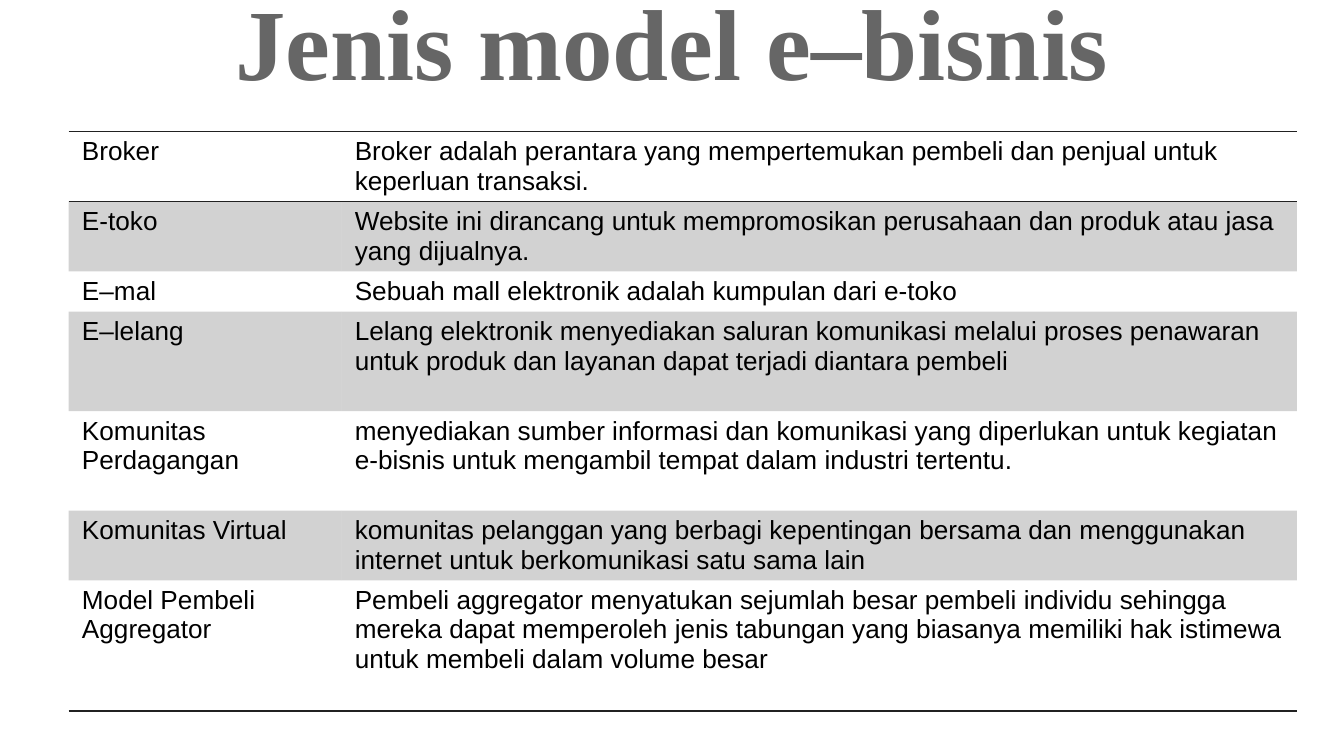
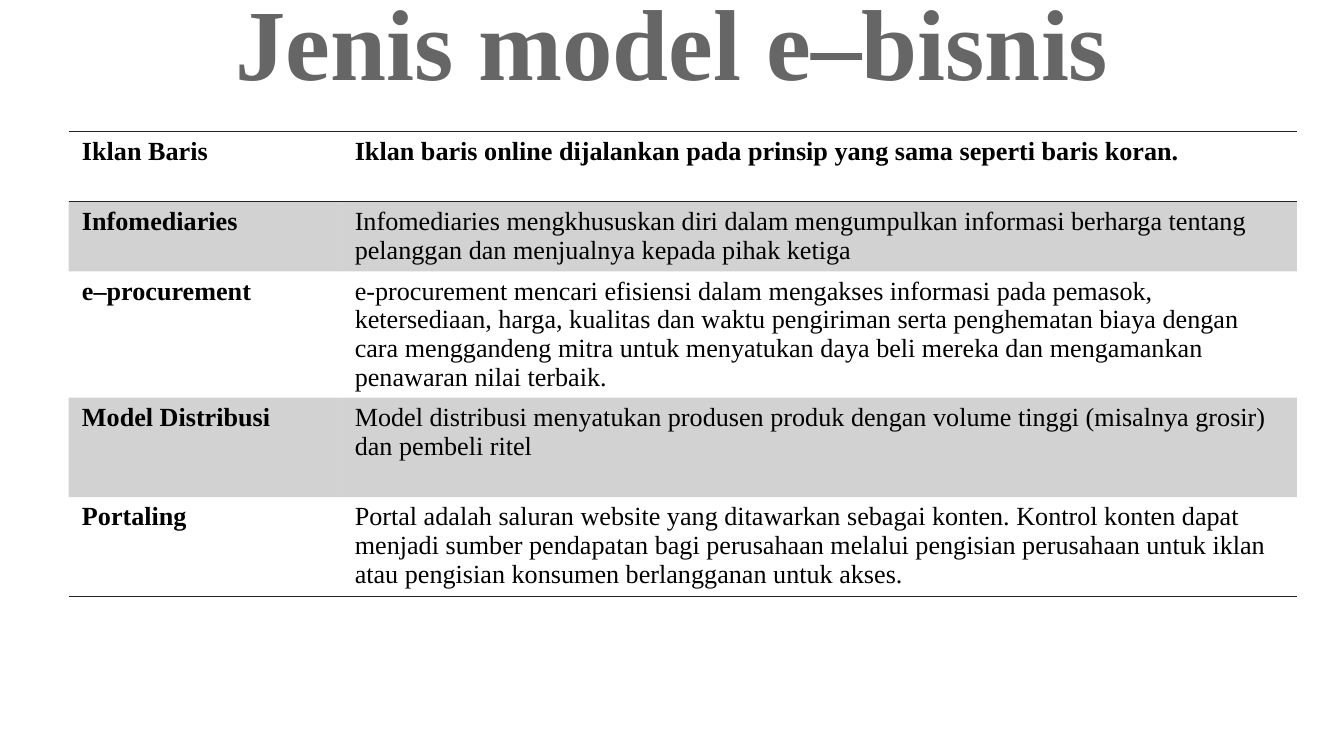
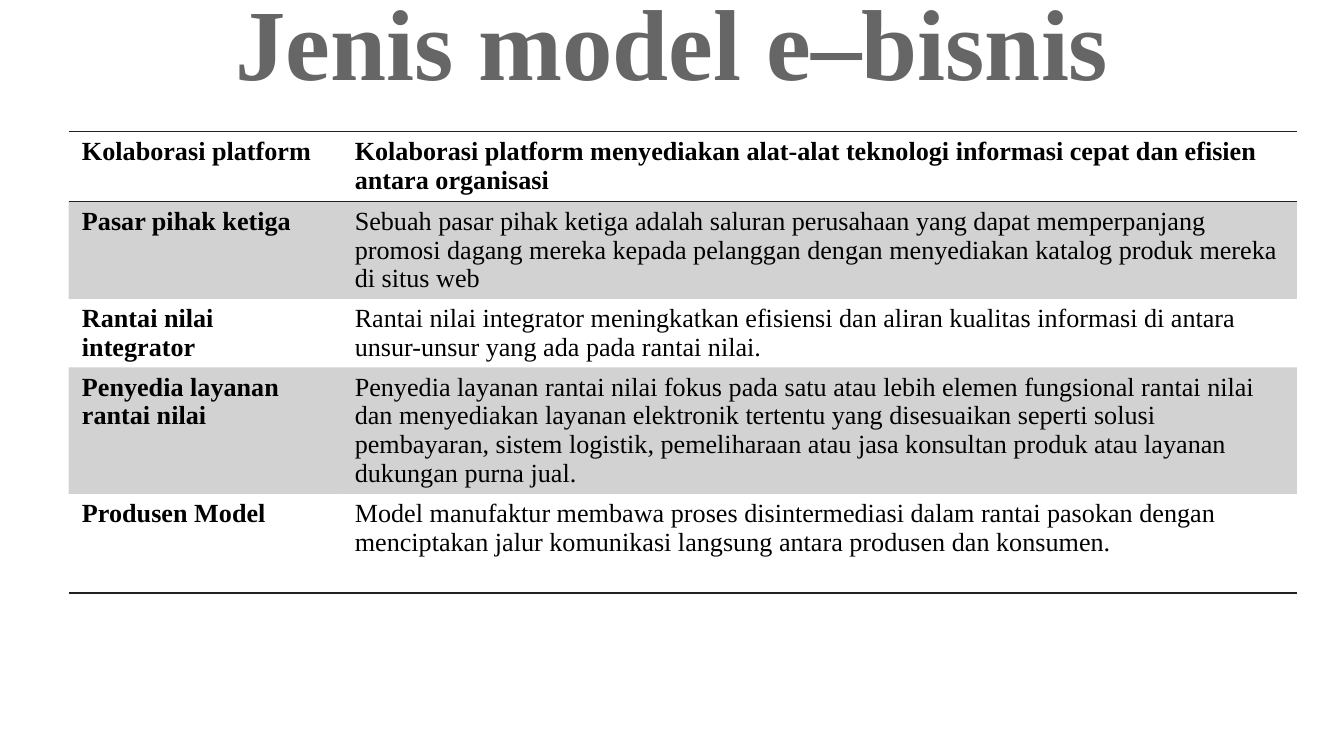
from dataclasses import dataclass

from lxml.etree import SubElement
from pptx import Presentation
from pptx.dml.color import RGBColor as Color
from pptx.enum.text import MSO_ANCHOR as Anchor, MSO_AUTO_SIZE as AutoSize, PP_ALIGN as Align
from pptx.oxml.ns import qn
from pptx.util import Inches, Pt


@dataclass(frozen=True)
class Theme:
    title_color: str = "666666"
    text_color: str = "000000"
    rule_color: str = "212121"
    background: str = "FFFFFF"
    serif: str = "Times New Roman"
    sans: str = "Arial"
    title_size: int = 54
    table_size: int = 14
    rule_width: int = 1
    band_opacity: int = 20


SLIDE_WIDTH = 10
SLIDE_HEIGHT = SLIDE_WIDTH * 9 / 16
TITLE = "Jenis model e–bisnis"
TITLE_BOX = (0.5, 0, 9, 0.8)
TABLE_LEFT, TABLE_TOP = 0.51, 0.98
COLUMN_WIDTHS = (2.03, 7.11)
CELL_MARGINS = {"margin_left": 0.1, "margin_right": 0.1, "margin_top": 0.04, "margin_bottom": 0.04}
PLAIN_TABLE_STYLE = "{2D5ABB26-0587-4C30-8999-92F81FD0307C}"
ROW_HEIGHTS = (0.52, 0.52, 0.3, 0.74, 0.74)

TRADING_MODELS = [
    ("Broker", "Broker adalah perantara yang mempertemukan pembeli dan penjual untuk "
     "keperluan transaksi."),
    ("E-toko", "Website ini dirancang untuk mempromosikan perusahaan dan produk atau jasa "
     "yang dijualnya."),
    ("E–mal", "Sebuah mall elektronik adalah kumpulan dari e-toko"),
    ("E–lelang", "Lelang elektronik menyediakan saluran komunikasi melalui proses penawaran "
     "untuk produk dan layanan dapat terjadi diantara pembeli"),
    ("Komunitas Perdagangan", "menyediakan sumber informasi dan komunikasi yang diperlukan "
     "untuk kegiatan e-bisnis untuk mengambil tempat dalam industri tertentu."),
    ("Komunitas Virtual", "komunitas pelanggan yang berbagi kepentingan bersama dan "
     "menggunakan internet untuk berkomunikasi satu sama lain"),
    ("Model Pembeli Aggregator", "Pembeli aggregator menyatukan sejumlah besar pembeli "
     "individu sehingga mereka dapat memperoleh jenis tabungan yang biasanya memiliki hak "
     "istimewa untuk membeli dalam volume besar"),
]

INFORMATION_MODELS = [
    ("Iklan Baris", "Iklan baris online dijalankan pada prinsip yang sama seperti baris koran."),
    ("Infomediaries", "Infomediaries mengkhususkan diri dalam mengumpulkan informasi berharga "
     "tentang pelanggan dan menjualnya kepada pihak ketiga"),
    ("e–procurement", "e-procurement mencari efisiensi dalam mengakses informasi pada pemasok, "
     "ketersediaan, harga, kualitas dan waktu pengiriman serta penghematan biaya dengan cara "
     "menggandeng mitra untuk menyatukan daya beli mereka dan mengamankan penawaran nilai "
     "terbaik."),
    ("Model Distribusi", "Model distribusi menyatukan produsen produk dengan volume tinggi "
     "(misalnya grosir) dan pembeli ritel"),
    ("Portaling", "Portal adalah saluran website yang ditawarkan sebagai konten. Kontrol konten "
     "dapat menjadi sumber pendapatan bagi perusahaan melalui pengisian perusahaan untuk iklan "
     "atau pengisian konsumen berlangganan untuk akses."),
]

VALUE_CHAIN_MODELS = [
    ("Kolaborasi platform", "Kolaborasi platform menyediakan alat-alat teknologi informasi "
     "cepat dan efisien antara organisasi"),
    ("Pasar pihak ketiga", "Sebuah pasar pihak ketiga adalah saluran perusahaan yang dapat "
     "memperpanjang promosi dagang mereka kepada pelanggan dengan menyediakan katalog produk "
     "mereka di situs web"),
    ("Rantai nilai integrator", "Rantai nilai integrator meningkatkan efisiensi dan aliran "
     "kualitas informasi di antara unsur-unsur yang ada pada rantai nilai."),
    ("Penyedia layanan rantai nilai", "Penyedia layanan rantai nilai fokus pada satu atau lebih "
     "elemen fungsional rantai nilai dan menyediakan layanan elektronik tertentu yang "
     "disesuaikan seperti solusi pembayaran, sistem logistik, pemeliharaan atau jasa konsultan "
     "produk atau layanan dukungan purna jual."),
    ("Produsen Model", "Model manufaktur membawa proses disintermediasi dalam rantai pasokan "
     "dengan menciptakan jalur komunikasi langsung antara produsen dan konsumen."),
]


class Deck:
    """Holds the theme and the slide being built."""

    def __init__(self, theme):
        self.theme = theme
        self.presentation = Presentation()
        self.presentation.slide_width = Inches(SLIDE_WIDTH)
        self.presentation.slide_height = Inches(SLIDE_HEIGHT)
        self.slide = None

    def add_slide(self, title):
        layout = self.presentation.slide_layouts.get_by_name("Title Only")
        self.slide = self.presentation.slides.add_slide(layout)
        fill = self.slide.background.fill
        fill.solid()
        fill.fore_color.rgb = Color.from_string(self.theme.background)
        self.add_title(title)

    def format_font(self, font, color, **values):
        for name, value in values.items():
            setattr(font, name, value)
        font.color.rgb = Color.from_string(color)

    def add_title(self, text):
        theme, shape = self.theme, self.slide.shapes.title
        for name, value in zip(("left", "top", "width", "height"), TITLE_BOX):
            setattr(shape, name, Inches(value))
        frame = shape.text_frame
        frame.text = text
        frame_format = {"word_wrap": True, "auto_size": AutoSize.NONE,
                        "vertical_anchor": Anchor.BOTTOM}
        for name, value in frame_format.items():
            setattr(frame, name, value)
        paragraph = frame.paragraphs[0]
        paragraph.alignment = Align.CENTER
        paragraph.line_spacing = 1.07
        self.format_font(paragraph.runs[0].font, theme.title_color, name=theme.serif,
                         size=Pt(theme.title_size), bold=True)

    def add_table(self, rows, heights, font_name, emphasis):
        shape = self.slide.shapes.add_table(
            len(rows), len(COLUMN_WIDTHS), Inches(TABLE_LEFT), Inches(TABLE_TOP),
            Inches(sum(COLUMN_WIDTHS)), Inches(sum(heights)))
        table = shape.table
        table.first_row = table.horz_banding = False
        table._tbl.tblPr.find(qn("a:tableStyleId")).text = PLAIN_TABLE_STYLE
        for column, width in zip(table.columns, COLUMN_WIDTHS):
            column.width = Inches(width)
        for row, height in zip(table.rows, heights):
            row.height = Inches(height)

        # Rules frame the first row and close the table; odd rows are shaded
        last = len(rows) - 1
        for row_index, texts in enumerate(rows):
            ruled = {"T": row_index in (0, 1), "B": row_index in (0, last)}
            for column_index, text in enumerate(texts):
                cell = table.cell(row_index, column_index)
                bold = emphasis and 0 in (row_index, column_index)
                self.fill_cell(cell, text, font_name, bold)
                self.draw_borders(cell, ruled)
                self.shade_cell(cell, row_index % 2 == 1)

    def fill_cell(self, cell, text, font_name, bold):
        for name, value in CELL_MARGINS.items():
            setattr(cell, name, Inches(value))
        cell.text = text
        self.format_font(cell.text_frame.paragraphs[0].runs[0].font, self.theme.text_color,
                         name=font_name, size=Pt(self.theme.table_size), bold=bold)

    def draw_borders(self, cell, ruled):
        properties = cell._tc.get_or_add_tcPr()
        for side in "LRTB":
            line = SubElement(properties, qn(f"a:ln{side}"), w=str(Pt(self.theme.rule_width)))
            if ruled.get(side):
                fill = SubElement(line, qn("a:solidFill"))
                SubElement(fill, qn("a:srgbClr"), val=self.theme.rule_color)
            else:
                SubElement(line, qn("a:noFill"))

    def shade_cell(self, cell, shaded):
        if not shaded:
            cell.fill.background()
            return
        cell.fill.solid()
        cell.fill.fore_color.rgb = Color.from_string(self.theme.rule_color)
        color = cell._tc.tcPr.find(qn("a:solidFill")).find(qn("a:srgbClr"))
        SubElement(color, qn("a:alpha"), val=str(self.theme.band_opacity * 1000))


def main():
    theme = Theme()
    deck = Deck(theme)
    tables = [
        (TRADING_MODELS, ROW_HEIGHTS + (0.52, 0.97), theme.sans, False),
        (INFORMATION_MODELS, ROW_HEIGHTS, theme.serif, True),
        (VALUE_CHAIN_MODELS, ROW_HEIGHTS, theme.serif, True),
    ]
    for rows, heights, font_name, emphasis in tables:
        deck.add_slide(TITLE)
        deck.add_table(rows, heights, font_name, emphasis)
    deck.presentation.save("out.pptx")


if __name__ == "__main__":
    main()
